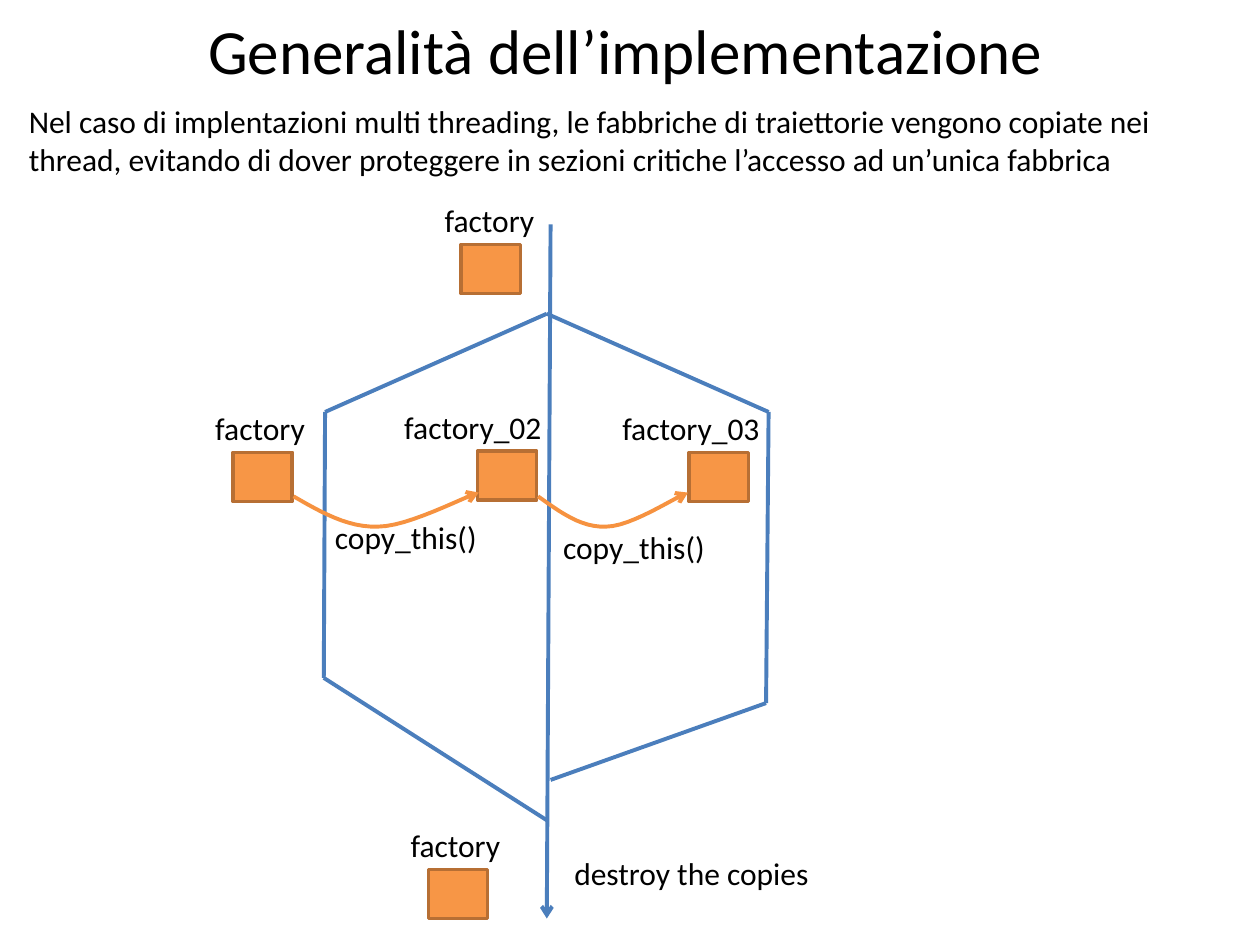
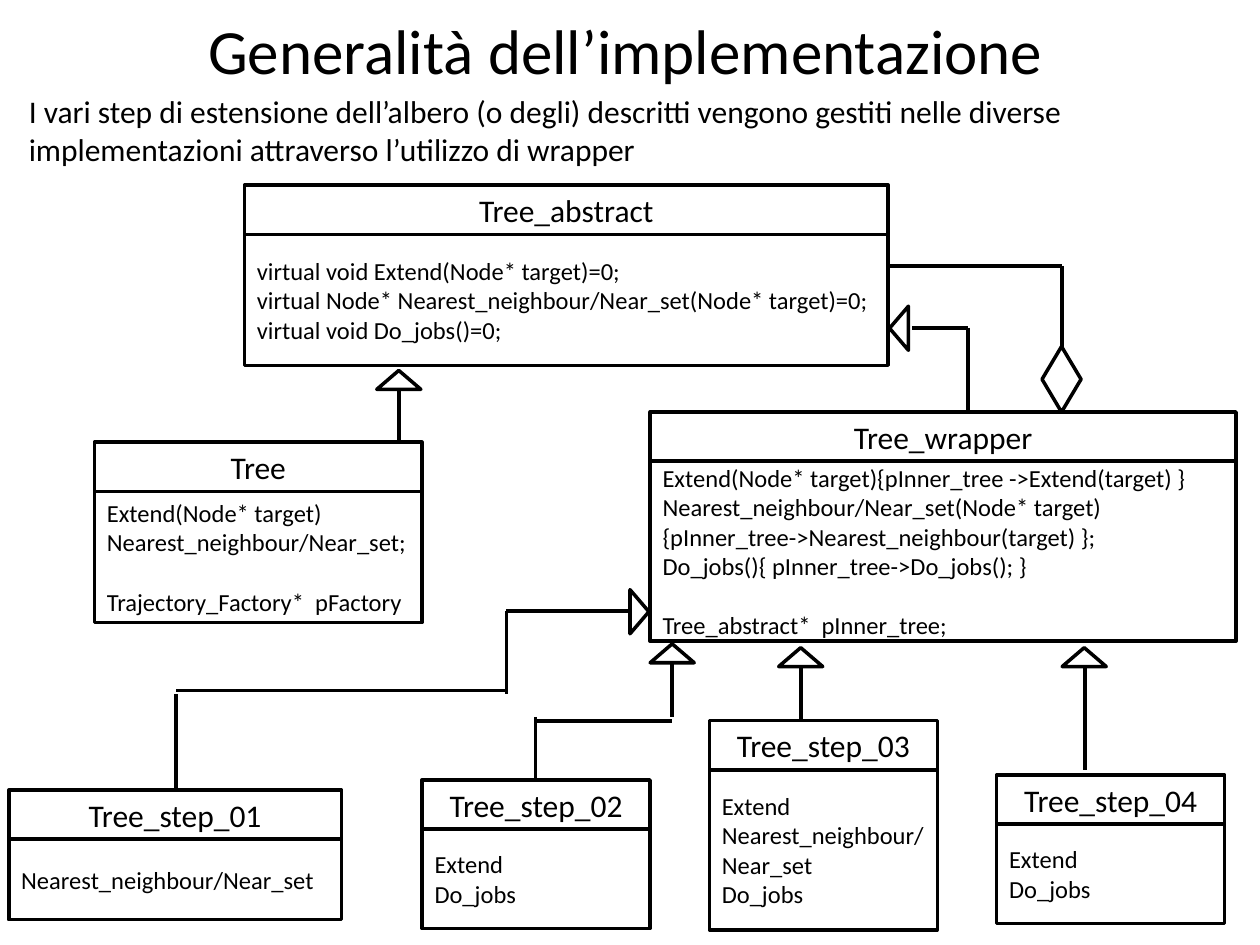
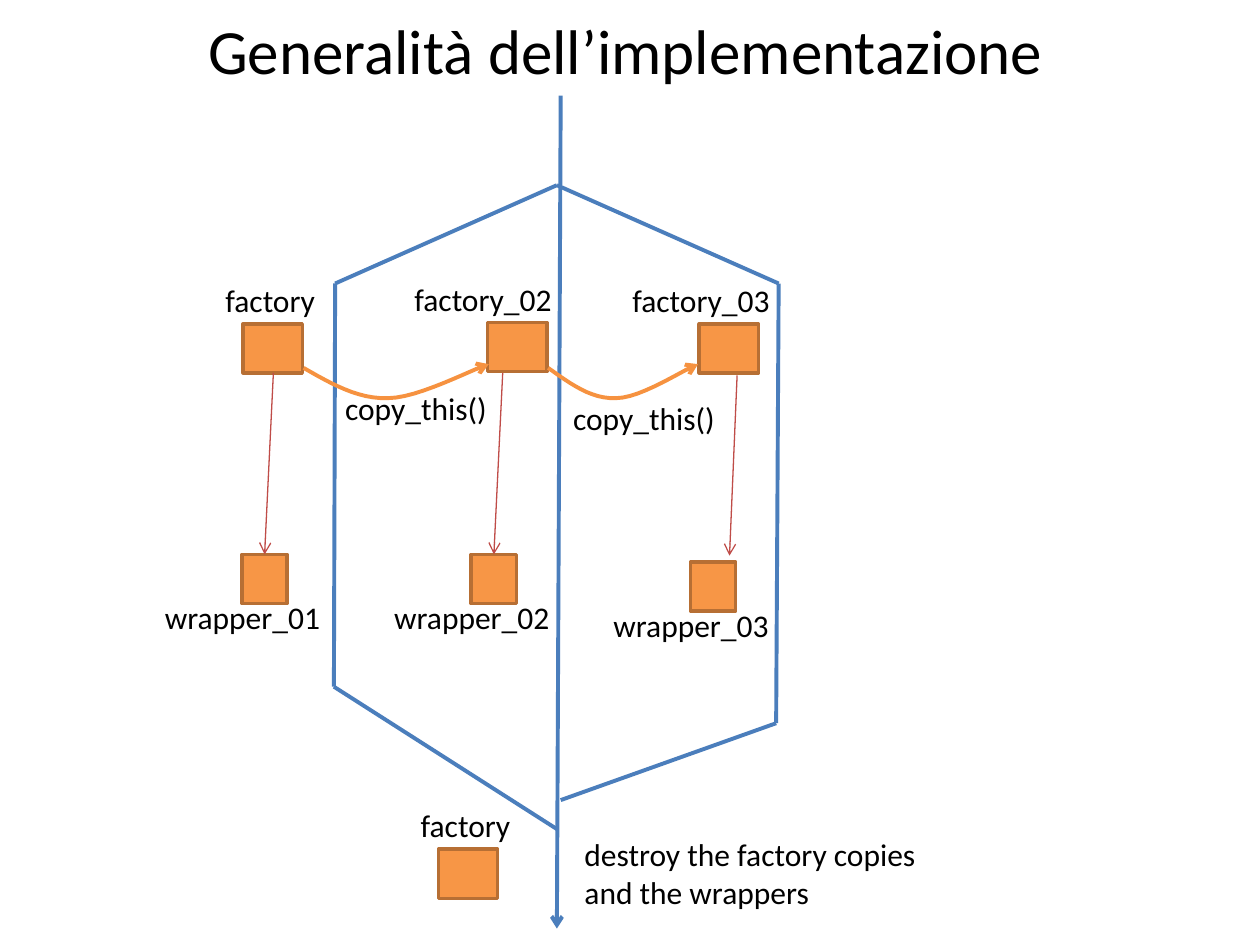
"""Build three slides on threads, factories and tree wrappers."""
from lxml.etree import SubElement
from pptx import Presentation
from pptx.dml.color import RGBColor
from pptx.enum.shapes import MSO_CONNECTOR, MSO_SHAPE
from pptx.enum.text import MSO_ANCHOR, MSO_AUTO_SIZE, PP_ALIGN
from pptx.oxml.ns import qn
from pptx.util import Inches, Pt

RECT = MSO_SHAPE.RECTANGLE
TRIANGLE = MSO_SHAPE.ISOSCELES_TRIANGLE
DIAMOND = MSO_SHAPE.DIAMOND
STRAIGHT = MSO_CONNECTOR.STRAIGHT
LEFT, CENTER = PP_ALIGN.LEFT, PP_ALIGN.CENTER
TOP, MIDDLE = MSO_ANCHOR.TOP, MSO_ANCHOR.MIDDLE
FIXED = MSO_AUTO_SIZE.NONE
color = RGBColor.from_string

FONT = "Calibri"
BLACK, WHITE = "000000", "FFFFFF"
BLUE, RED, CURVE = "4B7EBC", "BF4C48", "F69240"
ORANGE, BROWN = "F79646", "B76F34"
TITLE = "Generalità dell’implementazione"


def box(slide, at, lines=(), size=18, align=LEFT, kind=None, fill=WHITE, edge=BLACK):
    """Add a text box, or a filled shape when a kind is given."""
    place = [Inches(n) for n in at]
    if kind is None:
        item = slide.shapes.add_textbox(*place)
    else:
        item = slide.shapes.add_shape(kind, *place)
        item.shadow.inherit = False
        item.fill.solid()
        item.fill.fore_color.rgb = color(fill)
        item.line.color.rgb = color(edge)
        item.line.width = Pt(2)
    frame = item.text_frame
    frame.word_wrap = True
    frame.vertical_anchor = TOP if kind is None else MIDDLE
    if lines:
        frame.text = "\n".join(lines)
        for para in frame.paragraphs:
            para.alignment = align
            para.font.name = FONT
            para.font.size = Pt(size)
            para.font.color.rgb = color(BLACK)
    return item


def link(slide, points, hue=BLACK, width=2.25, arrow=False, curve=False):
    """Join points by straight lines, or by one open curve."""
    spots = [(Inches(x), Inches(y)) for x, y in points]
    if curve:
        path = slide.shapes.build_freeform(*spots[0])
        path.add_line_segments(spots[1:], close=False)
        items = [path.convert_to_shape()]
        items[0].fill.background()
    else:
        items = [slide.shapes.add_connector(STRAIGHT, *a, *b)
                 for a, b in zip(spots, spots[1:])]
    for item in items:
        item.line.color.rgb = color(hue)
        item.line.width = Pt(width)
        SubElement(item._element.spPr, qn("a:effectLst"))
    if arrow:
        SubElement(items[-1].line._get_or_add_ln(), qn("a:tailEnd"), type="arrow")


deck = Presentation()
deck.slide_width, deck.slide_height = Inches(10), Inches(7.5)
slides = [deck.slides.add_slide(deck.slide_layouts[5]) for _ in range(3)]
for slide in slides:
    head = slide.shapes.title
    head.left, head.top = Inches(0.12), Inches(0.04)
    head.width, head.height = Inches(9.69), Inches(0.71)
    frame = head.text_frame
    frame.text = TITLE
    frame.auto_size = FIXED
    frame.vertical_anchor = TOP
    para = frame.paragraphs[0]
    para.alignment = CENTER
    para.font.name = FONT
    para.font.size = Pt(36)
    para.font.color.rgb = color(BLACK)
first, second, third = slides

box(first, (0.13, 0.76, 9.68, 0.71), [
    "Nel caso di implentazioni multi threading, le fabbriche di traiettorie vengono "
    "copiate nei thread, evitando di dover proteggere in sezioni critiche l’accesso "
    "ad un’unica fabbrica"])
box(second, (0.13, 0.68, 9.68, 0.71), [
    "I vari step di estensione dell’albero (o degli) descritti vengono gestiti nelle "
    "diverse implementazioni attraverso l’utilizzo di wrapper"])

flows = [
    (first, 0, 0, 5.38, 5.58, 7.29, 6.9, 6.73, "destroy the copies"),
    (third, 0.08, -1.02, 5.45, 5.74, 7.37, 6.74, 6.58,
     "destroy the factory copies and the wrappers"),
]
bends = [
    [(2.33, 3.94), (2.54, 4.06), (2.76, 4.19), (3, 4.18),
     (3.24, 4.18), (3.67, 3.95), (3.8, 3.91)],
    [(4.27, 3.94), (4.44, 4.06), (4.61, 4.19), (4.81, 4.18),
     (5.01, 4.18), (5.35, 3.95), (5.46, 3.91)],
]
STEPS = 12
for slide, dx, dy, left, right, end, last, note, words in flows:
    mid, fork, side = 4.34 + dx, 2.49 + dy, 3.27 + dy
    link(slide, [(mid + 0.03, 1.78 + dy), (mid, end)], BLUE, arrow=True)
    link(slide, [(mid, fork), (2.58 + dx, side), (2.57 + dx, left),
                 (mid, left + 1.13)], BLUE)
    link(slide, [(mid, fork), (6.1 + dx, side), (6.08 + dx, right),
                 (mid + 0.03, right + 0.61)], BLUE)

    units = [(1.85, 3.59 + dy, "factory", 0.24),
             (3.79, 3.58 + dy, "factory_02", 0.68),
             (5.47, 3.59 + dy, "factory_03", 0.63),
             (3.4, last, "factory", 0.24)]
    if slide is first:
        units.append((3.66, 1.94, "factory", 0.23))
    for x, y, name, back in units:
        box(slide, (x + dx, y, 0.47, 0.39), kind=RECT, fill=ORANGE, edge=BROWN)
        box(slide, (x + dx - back, y - 0.39, 1.55, 0.4), [name])

    for bend in bends:
        points = bend[:1]
        for a, b, c, d in (bend[:4], bend[3:]):
            for step in range(1, STEPS + 1):
                t = step / STEPS
                u = 1 - t
                points.append([u**3 * i + 3 * u * u * t * j + 3 * u * t * t * k + t**3 * m
                               for i, j, k, m in zip(a, b, c, d)])
        link(slide, [(x + dx, y + dy) for x, y in points], CURVE, arrow=True, curve=True)
    for x, y in [(2.56, 4.06), (4.37, 4.14)]:
        box(slide, (x + dx, y + dy, 1.39, 0.4), ["copy_this()"])
    box(slide, (4.46 + dx, note, 2.9, 0.71), [words])

wraps = [
    (1.92, 4.4, "wrapper_01", [(2.17, 2.96), (2.1, 4.4)]),
    (3.74, 4.4, "wrapper_02", [(3.99, 2.96), (3.92, 4.4)]),
    (5.48, 4.46, "wrapper_03", [(5.85, 2.98), (5.79, 4.41)]),
]
for x, y, name, points in wraps:
    box(third, (x, y, 0.36, 0.39), kind=RECT, fill=ORANGE, edge=BROWN)
    box(third, (x - 0.71, y + 0.3, 1.66, 0.4), [name])
    link(third, points, RED, 0.75, arrow=True)

cards = [
    (1.94, 1.47, 5.11, 1.04, "Tree_abstract", 0, [
        "virtual void Extend(Node* target)=0;",
        "virtual Node* Nearest_neighbour/Near_set(Node* target)=0;",
        "virtual void Do_jobs()=0;"]),
    (0.75, 3.51, 2.6, 1.04, "Tree", 17, [
        "Extend(Node* target)",
        "Nearest_neighbour/Near_set;",
        "Trajectory_Factory*  pFactory"]),
    (5.16, 3.27, 4.65, 1.43, "Tree_wrapper", 17, [
        "Extend(Node* target){pInner_tree ->Extend(target) }",
        "Nearest_neighbour/Near_set(Node* target) "
        "{pInner_tree->Nearest_neighbour(target) };",
        "Do_jobs(){ pInner_tree->Do_jobs(); }",
        "Tree_abstract*  pInner_tree;"]),
    (0.07, 6.27, 2.64, 0.64, "Tree_step_01", 0, ["Nearest_neighbour/Near_set"]),
    (3.35, 6.19, 1.81, 0.79, "Tree_step_02", 0, ["Extend", "Do_jobs"]),
    (5.63, 5.72, 1.81, 1.27, "Tree_step_03", 0, [
        "Extend", "Nearest_neighbour/Near_set", "Do_jobs"]),
    (7.91, 6.15, 1.81, 0.79, "Tree_step_04", 0, ["Extend", "Do_jobs"]),
]
for x, y, wide, tall, name, gap, lines in cards:
    body = box(second, (x, y + 0.39, wide, tall), lines, 14, kind=RECT)
    body.text_frame.paragraphs[-1].space_before = Pt(gap)
    box(second, (x, y, wide, 0.39), [name], align=CENTER, kind=RECT)

routes = [
    [(3.17, 3.09), (3.17, 3.51)],
    [(6.36, 5.29), (6.36, 5.72)],
    [(8.61, 5.29), (8.61, 6.11)],
    [(5.33, 5.27), (5.33, 5.69)],
    [(5.33, 5.72), (4.25, 5.72)],
    [(4.25, 5.69), (4.25, 6.19)],
    [(5.01, 4.85), (4.02, 4.85), (4.02, 5.51)],
    [(4.02, 5.48), (1.4, 5.48)],
    [(1.4, 5.51), (1.4, 6.27)],
    [(7.24, 2.6), (7.68, 2.6), (7.68, 3.27)],
    [(7.05, 2.11), (8.43, 2.11), (8.43, 2.78)],
]
for points in routes:
    link(second, points)
tips = [(2.99, 2.94, 0), (6.18, 5.14, 0), (8.43, 5.14, 0), (5.16, 5.11, 0),
        (4.9, 4.78, 90), (6.96, 2.53, 270)]
for x, y, turn in tips:
    box(second, (x, y, 0.35, 0.15), kind=TRIANGLE).rotation = turn
box(second, (8.27, 2.75, 0.31, 0.52), kind=DIAMOND)

deck.save("out.pptx")
